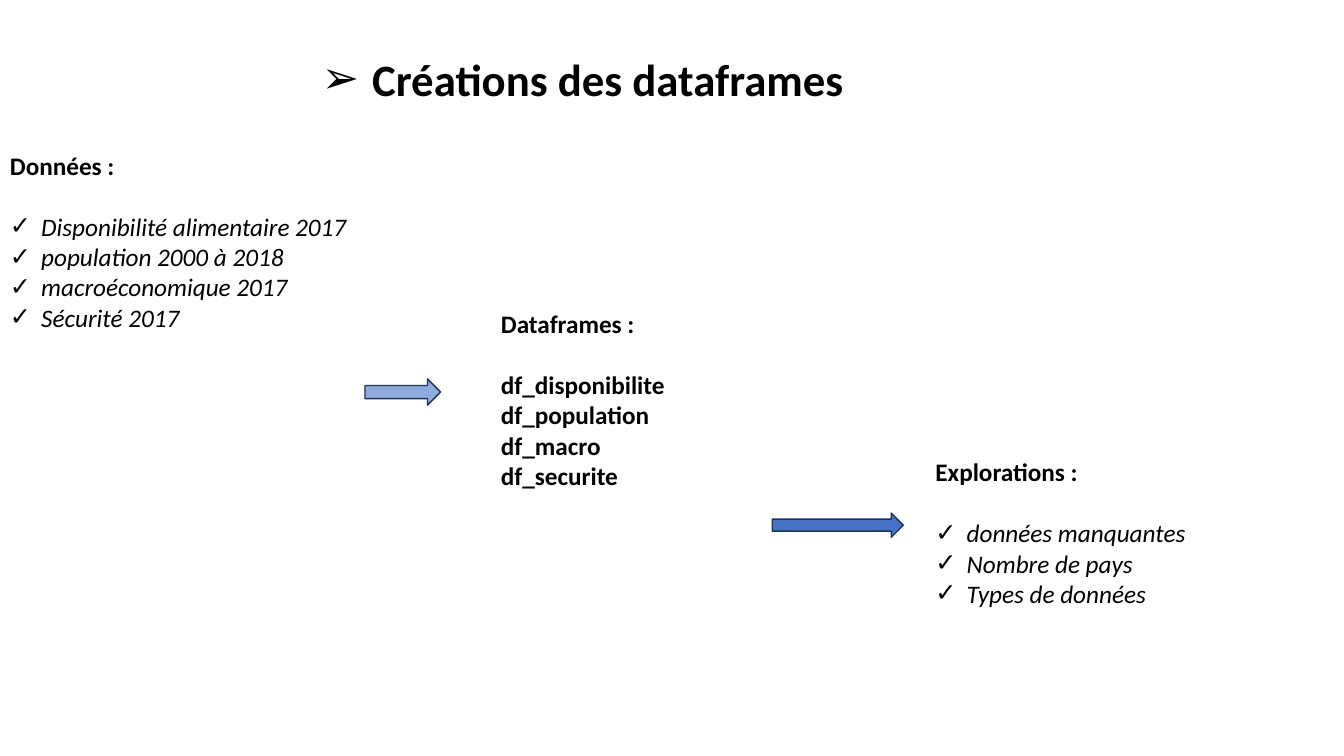
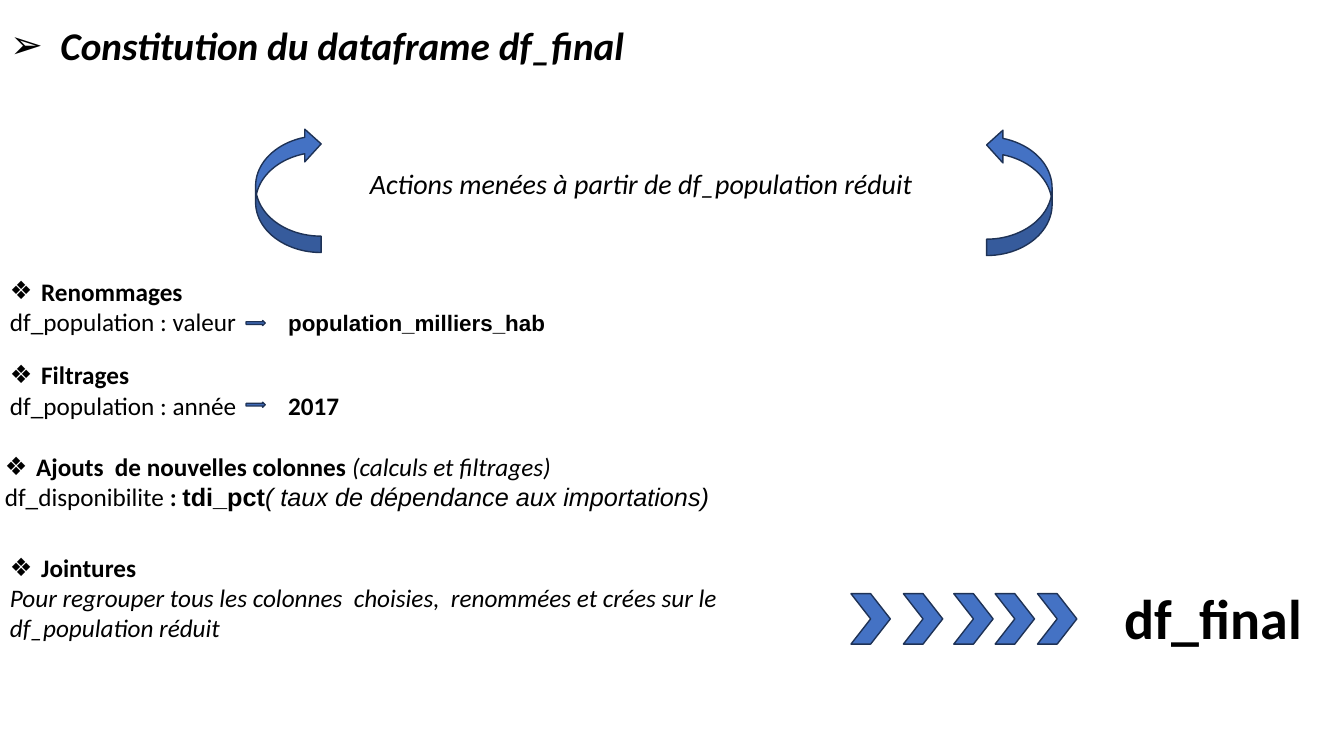
import dataclasses

import lxml.etree
import pptx
import pptx.dml.color
import pptx.enum.shapes
import pptx.enum.text
import pptx.oxml.ns
import pptx.util

MSO = pptx.enum.shapes.MSO_SHAPE
BOLD = {"bold": True}
ITALIC = {"italic": True}


@dataclasses.dataclass(frozen=True)
class Theme:
    text: str = "000000"
    blue: str = "4472C4"
    light_blue: str = "8FAADC"
    outline: str = "1E3256"
    font: str = "Calibri"
    code_font: str = "Arial"
    body: int = 18
    code: int = 16
    lead: int = 20
    result: int = 40
    heading_gap: int = 22
    indent: int = 31
    title_indent: int = 50


class Deck:
    """Hold the style, the presentation and the current slide."""

    def __init__(self, theme):
        self.theme = theme
        self.prs = pptx.Presentation()
        self.prs.slide_width = self.px(1333)
        self.prs.slide_height = self.px(750)
        self.slide = None

    def px(self, n):
        return pptx.util.Emu(n * 9144)

    def rgb(self, value):
        return pptx.dml.color.RGBColor.from_string(value)

    def add_slide(self, title, box, size, italic=False):
        self.slide = self.prs.slides.add_slide(self.prs.slide_layouts[5])
        sp = self.slide.shapes.title
        sp.left, sp.top, sp.width, sp.height = map(self.px, box)
        p = self.frame(sp).paragraphs[0]
        self.fill_paragraph(p, [(title, {"bold": True, "italic": italic})], size)
        self.bullet(p, "➢", self.theme.title_indent)

    def frame(self, sp):
        tf = sp.text_frame
        tf.word_wrap = True
        tf.auto_size = pptx.enum.text.MSO_AUTO_SIZE.NONE
        tf.vertical_anchor = pptx.enum.text.MSO_ANCHOR.TOP
        return tf

    def fill_paragraph(self, p, runs, size):
        p.alignment = pptx.enum.text.PP_ALIGN.LEFT
        p.font.name = self.theme.font
        p.font.size = pptx.util.Pt(size)
        p.font.color.rgb = self.rgb(self.theme.text)
        shared = runs[0][1] if len(runs) == 1 else {}
        for key, value in shared.items():
            setattr(p.font, key, value)
        for text, style in runs:
            r = p.add_run()
            r.text = text
            for key, value in style.items():
                if key not in shared:
                    setattr(r.font, key, value)

    def insert(self, p, tag, **attrs):
        el = lxml.etree.Element(pptx.oxml.ns.qn(tag), attrs)
        pPr = p._p.get_or_add_pPr()
        pPr.find(pptx.oxml.ns.qn("a:defRPr")).addprevious(el)
        return el

    def bullet(self, p, char, indent):
        pPr = p._p.get_or_add_pPr()
        pPr.set("marL", str(self.px(indent)))
        pPr.set("indent", str(-self.px(indent)))
        self.insert(p, "a:buFont", typeface="Arial")
        self.insert(p, "a:buChar", char=char)

    def tab(self, p, at):
        tabs = self.insert(p, "a:tabLst")
        lxml.etree.SubElement(tabs, pptx.oxml.ns.qn("a:tab"), pos=str(self.px(at)), algn="l")

    def text(self, box, lines, size=None):
        """Add a text box from (runs, bullet) lines and return its paragraphs."""
        sp = self.slide.shapes.add_textbox(*map(self.px, box))
        tf = self.frame(sp)
        for i, (runs, char) in enumerate(lines):
            p = tf.add_paragraph() if i else tf.paragraphs[0]
            self.fill_paragraph(p, runs, size or self.theme.body)
            if char:
                self.bullet(p, char, self.theme.indent)
        return tf.paragraphs

    def listing(self, box, heading, items, style, char=None):
        lines = [([(heading, BOLD)], None)]
        lines += [([(item, style)], char) for item in items]
        self.text(box, lines)[0].space_after = pptx.util.Pt(self.theme.heading_gap)

    def step(self, box, heading, detail, tab=None):
        ps = self.text(box, [(heading, "❖"), (detail, None)])
        if tab:
            self.tab(ps[1], tab)

    def shape(self, kind, box, fill=None, rotation=0):
        sp = self.slide.shapes.add_shape(kind, *map(self.px, box))
        sp.shadow.inherit = False
        sp.fill.solid()
        sp.fill.fore_color.rgb = self.rgb(fill or self.theme.blue)
        sp.line.color.rgb = self.rgb(self.theme.outline)
        sp.line.width = pptx.util.Pt(1)
        sp.rotation = rotation


def dataframes_slide(deck):
    deck.add_slide("Créations des dataframes", (309, 46, 715, 64), 32)
    deck.listing((0, 144, 455, 314), "Données :",
                 ["Disponibilité alimentaire 2017", "population 2000 à 2018",
                  "macroéconomique 2017", "Sécurité 2017"], ITALIC, "✓")
    deck.listing((487, 301, 253, 192), "Dataframes :",
                 ["df_disponibilite", "df_population", "df_macro", "df_securite"], BOLD)
    deck.listing((918, 448, 297, 192), "Explorations :",
                 ["données manquantes", "Nombre de pays", "Types de données"], ITALIC, "✓")
    deck.shape(MSO.RIGHT_ARROW, (362, 376, 75, 26), deck.theme.light_blue)
    deck.shape(MSO.RIGHT_ARROW, (766, 509, 130, 24))


def final_slide(deck):
    theme = deck.theme
    code = {"bold": True, "name": theme.code_font}
    deck.add_slide("Constitution du dataframe df_final", (0, 16, 1127, 57), 28, italic=True)
    deck.text((357, 160, 630, 74),
              [([("Actions menées à partir de df_population réduit", ITALIC)], None)], theme.lead)
    deck.shape(MSO.CURVED_UP_ARROW, (948, 158, 126, 65), rotation=270)
    deck.shape(MSO.CURVED_DOWN_ARROW, (224, 156, 124, 65), rotation=270)

    small_code = {**code, "size": pptx.util.Pt(theme.code)}
    for top, arrow_top, heading, column, value, style in (
            (269, 318, "Renommages", "valeur", "population_milliers_hab", small_code),
            (352, 399, "Filtrages", "année", "2017", BOLD)):
        deck.step((0, top, 772, 71), [(heading, BOLD)],
                  [(f"df_population : {column}\t", {}), (value, style)], tab=276)
        deck.shape(MSO.RIGHT_ARROW, (244, arrow_top, 19, 5))

    deck.step((-5, 443, 843, 71),
              [("Ajouts  de nouvelles colonnes ", BOLD), ("(calculs et filtrages)", ITALIC)],
              [("df_disponibilite ", {}), (": ", BOLD), ("tdi_pct", code),
               ("( taux de dépendance aux importations)", {**ITALIC, "name": theme.code_font})])
    deck.step((0, 543, 808, 101), [("Jointures", BOLD)],
              [("Pour regrouper tous les colonnes  choisies,  renommées et crées "
                "sur le df_population réduit", ITALIC)])

    for left in (844, 896, 946, 987, 1029):
        deck.shape(MSO.CHEVRON, (left, 589, 39, 50))
    deck.text((1105, 574, 228, 77), [([("df_final", BOLD)], None)], theme.result)


def main():
    deck = Deck(Theme())
    dataframes_slide(deck)
    final_slide(deck)
    deck.prs.save("out.pptx")


if __name__ == "__main__":
    main()
